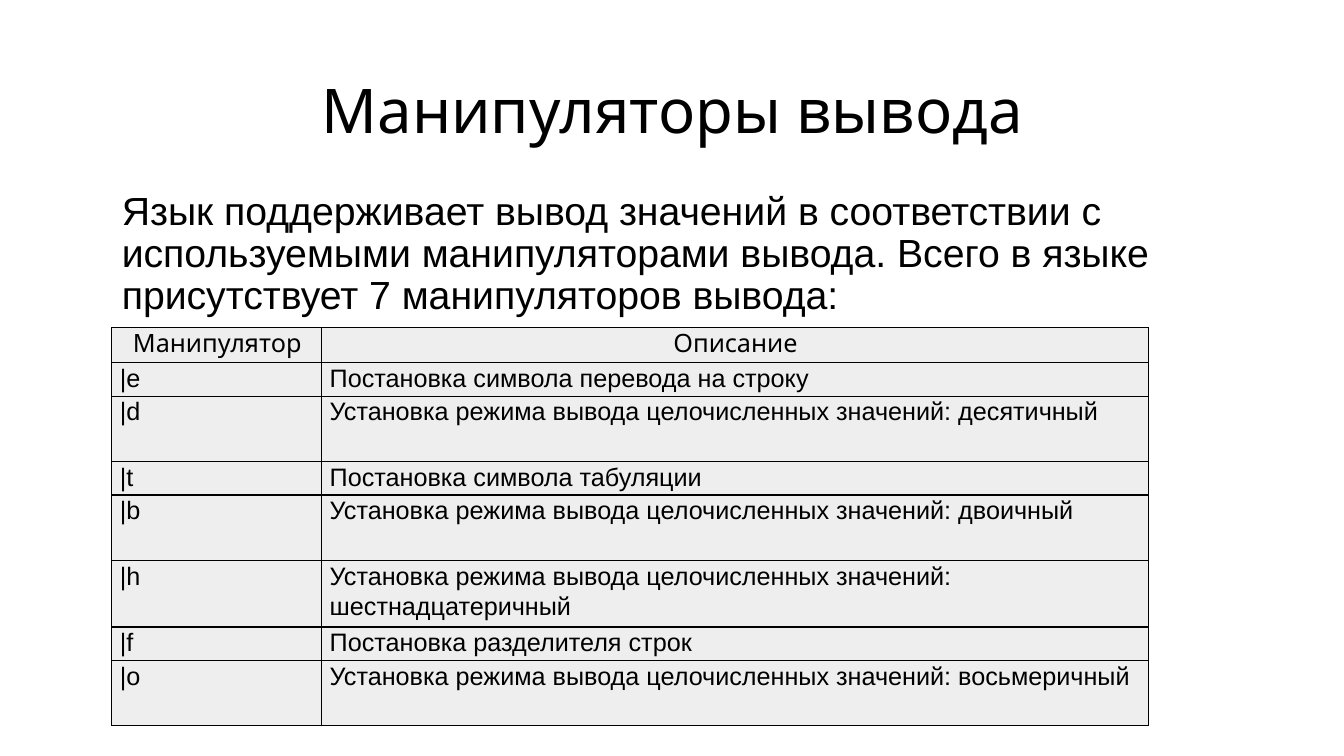
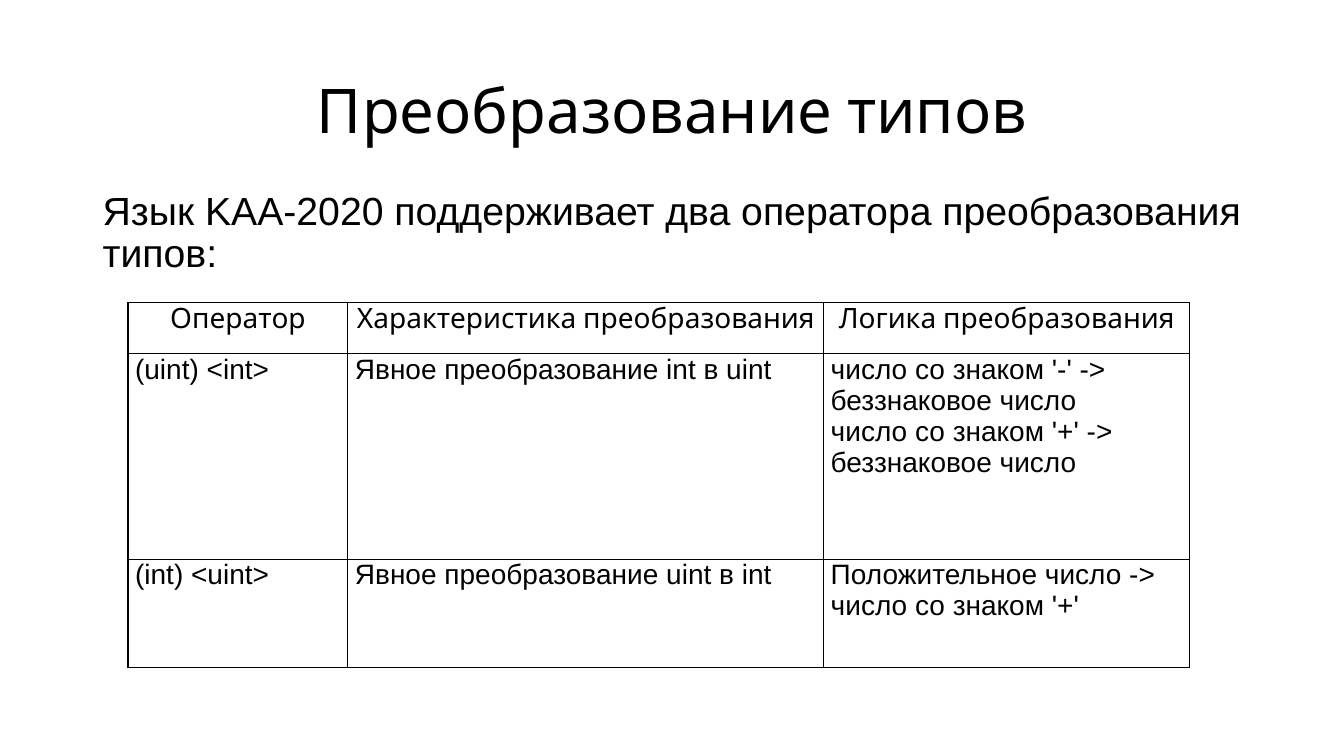
from dataclasses import dataclass

from lxml import etree
from pptx import Presentation
from pptx import util as u
from pptx.dml.color import RGBColor
from pptx.enum import text
from pptx.oxml import ns


@dataclass(frozen=True)
class Theme:
    ink: str = "000000"
    heading_font: str = "Karla"
    body_font: str = "Arial"
    title_size: int = 44
    body_size: int = 28
    line_spacing: float = 0.9
    border: float = 1


THEME = Theme()
PX = u.Inches(1) // 100
SLIDE_SIZE = (1333, 750)
TITLE_BOX = (92, 40, 1150, 145)
BODY_TOP, BODY_WIDTH, BODY_HEIGHT = 185, 1150, 476
MODE = "Установка режима вывода целочисленных значений: "

SLIDES = [
    {
        "title": "Манипуляторы вывода",
        "body": "Язык поддерживает вывод значений в соответствии с используемыми "
                "манипуляторами вывода. Всего в языке присутствует 7 манипуляторов вывода:",
        "body_left": 111,
        "table": {
            "origin": (111, 325),
            "columns": (208, 820),
            "rows": (35, 33, 65, 33, 65, 66, 33, 65),
            "margins": (8, 7),
            "size": 18,
            "fill": "EEEEEE",
            "spacing": (1.07, 8),
            "cells": [
                ("Манипулятор", "Описание"),
                ("|e", "Постановка символа перевода на строку"),
                ("|d", MODE + "десятичный"),
                ("|t", "Постановка символа табуляции"),
                ("|b", MODE + "двоичный"),
                ("|h", MODE + "шестнадцатеричный"),
                ("|f", "Постановка разделителя строк"),
                ("|o", MODE + "восьмеричный"),
            ],
        },
    },
    {
        "title": "Преобразование типов",
        "body": "Язык KAA-2020 поддерживает два оператора преобразования типов:",
        "body_left": 92,
        "table": {
            "origin": (127, 300),
            "columns": (218, 472, 363),
            "rows": (51, 204, 107),
            "margins": (7, 7),
            "size": 20,
            "fill": None,
            "spacing": (1.0, 0),
            "cells": [
                ("Оператор", "Характеристика преобразования", "Логика преобразования"),
                ("(uint) <int>", "Явное преобразование int в uint",
                 "число со знаком '-' -> беззнаковое число\n"
                 "число со знаком '+' -> беззнаковое число"),
                ("(int) <uint>", "Явное преобразование uint в int",
                 "Положительное число ->\nчисло со знаком '+'"),
            ],
        },
    },
]


def px(*values):
    return [value * PX for value in values]


def style(paragraph, font, size, centered=False, line=1.0, before=0, after=0):
    paragraph.font.name = font
    paragraph.font.size = u.Pt(size)
    paragraph.font.color.rgb = RGBColor.from_string(THEME.ink)
    paragraph.alignment = text.PP_ALIGN.CENTER if centered else text.PP_ALIGN.LEFT
    paragraph.line_spacing = line
    paragraph.space_before = u.Pt(before)
    paragraph.space_after = u.Pt(after)


def add_text(slide, box, content, anchor, font, size, **layout):
    frame = slide.shapes.add_textbox(*px(*box)).text_frame
    frame.word_wrap = True
    frame.vertical_anchor = anchor
    frame.text = content
    style(frame.paragraphs[0], font, size, line=THEME.line_spacing, **layout)


def add_borders(cell):
    properties = cell._tc.get_or_add_tcPr()
    for index, side in enumerate(("lnL", "lnR", "lnT", "lnB")):
        line = etree.Element(ns.qn(f"a:{side}"), w=str(u.Pt(THEME.border)))
        fill = etree.SubElement(line, ns.qn("a:solidFill"))
        etree.SubElement(fill, ns.qn("a:srgbClr"), val=THEME.ink)
        properties.insert(index, line)


def fill_cell(cell, content, data, is_header):
    cell.margin_left, cell.margin_right = px(*data["margins"])
    cell.margin_top = cell.margin_bottom = 0
    if data["fill"]:
        cell.fill.solid()
        cell.fill.fore_color.rgb = RGBColor.from_string(data["fill"])
    else:
        cell.fill.background()
    add_borders(cell)
    cell.text = content
    line, after = data["spacing"]
    font = THEME.heading_font if is_header else THEME.body_font
    for paragraph in cell.text_frame.paragraphs:
        style(paragraph, font, data["size"], is_header, line, after=after)


def add_table(slide, data):
    columns, rows = data["columns"], data["rows"]
    box = px(*data["origin"], sum(columns), sum(rows))
    table = slide.shapes.add_table(len(rows), len(columns), *box).table
    table.first_row = table.horz_banding = False
    for column, width in zip(table.columns, px(*columns)):
        column.width = width
    for row, height in zip(table.rows, px(*rows)):
        row.height = height
    for row_index, contents in enumerate(data["cells"]):
        for column_index, content in enumerate(contents):
            fill_cell(table.cell(row_index, column_index), content, data, row_index == 0)


def main():
    presentation = Presentation()
    presentation.slide_width, presentation.slide_height = px(*SLIDE_SIZE)
    for data in SLIDES:
        slide = presentation.slides.add_slide(presentation.slide_layouts[6])
        add_text(slide, TITLE_BOX, data["title"], text.MSO_ANCHOR.MIDDLE,
                 THEME.heading_font, THEME.title_size, centered=True)
        body_box = (data["body_left"], BODY_TOP, BODY_WIDTH, BODY_HEIGHT)
        add_text(slide, body_box, data["body"], text.MSO_ANCHOR.TOP,
                 THEME.body_font, THEME.body_size, before=10)
        add_table(slide, data["table"])
    presentation.save("out.pptx")


if __name__ == "__main__":
    main()
